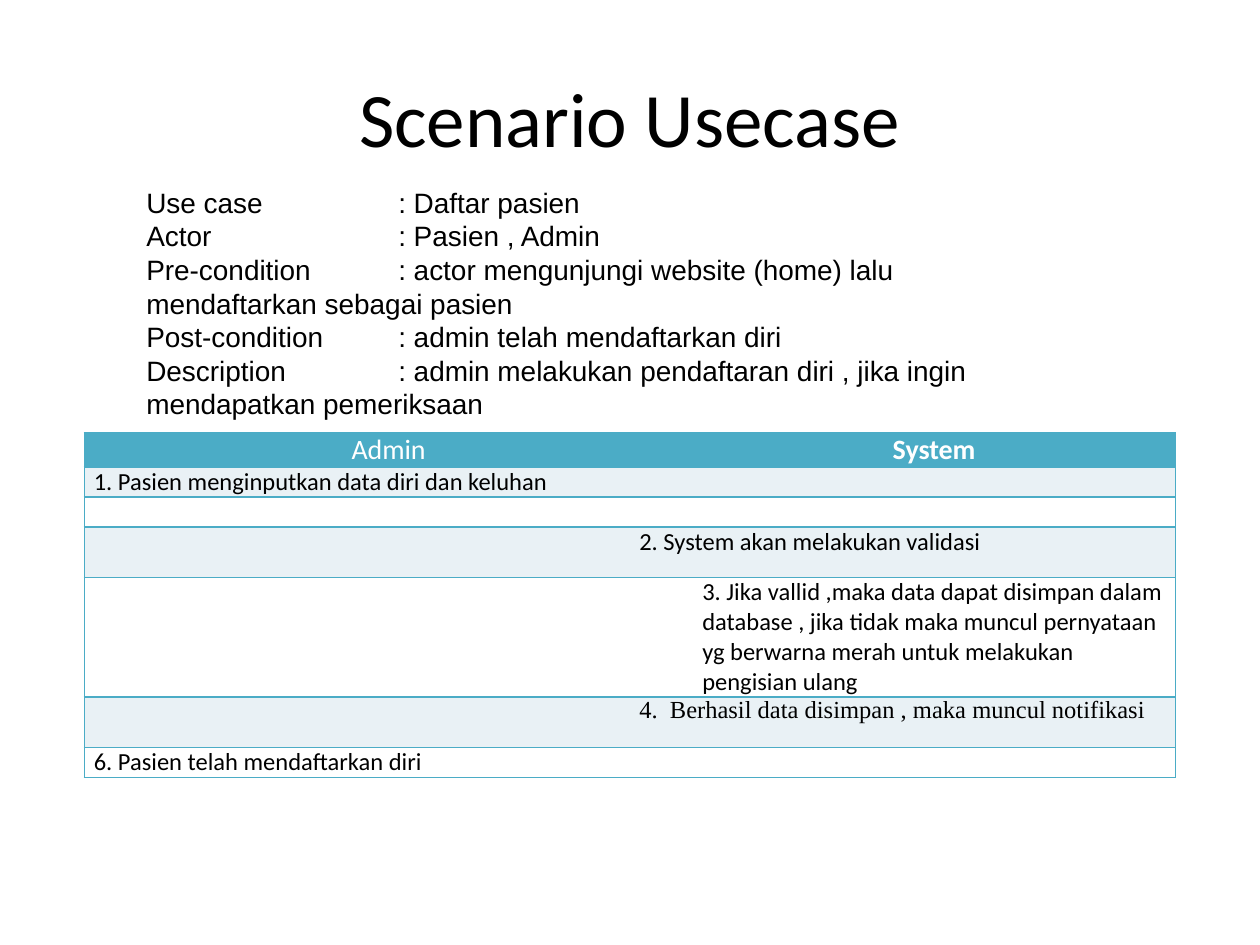
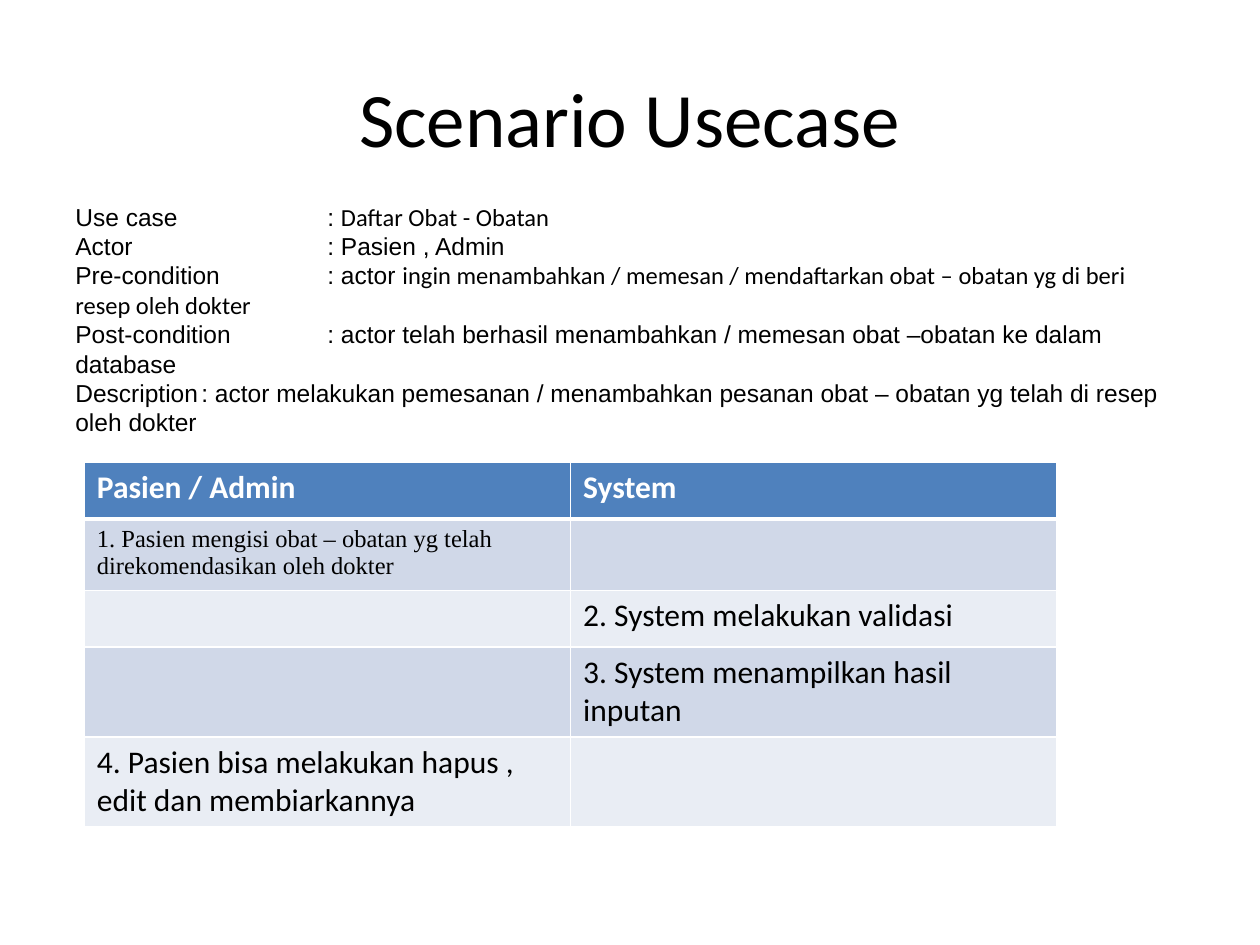
from dataclasses import dataclass
from typing import NamedTuple, Optional

from lxml import etree
from pptx import Presentation
from pptx import util as u
from pptx.dml.color import RGBColor
from pptx.enum import text
from pptx.oxml import ns

Pt = u.Pt


# Theme
@dataclass(frozen=True)
class Theme:
    sans: str = "Calibri"
    plain: str = "Arial"
    serif: str = "Times New Roman"
    ink: str = "000000"
    white: str = "FFFFFF"
    teal: str = "4BACC6"
    teal_tint: str = "E9F1F5"
    blue: str = "4F81BD"
    blue_band: str = "D0D8E8"
    blue_tint: str = "E9EDF4"
    title_size: float = 44
    large: float = 18
    medium: float = 16
    small: float = 14


THEME = Theme()


class Box(NamedTuple):
    left: float
    top: float
    width: float
    height: float


class Step(NamedTuple):
    """One table cell; indent is its left margin in points."""
    words: str = ""
    size: float = THEME.small
    face: str = THEME.sans
    bold: bool = False
    indent: float = 0
    centred: bool = False


@dataclass(frozen=True)
class Field:
    """One line of the summary; detail may use a face of its own."""
    label: str
    detail: str
    detail_face: str = THEME.plain
    tab_stop: float = 144


@dataclass(frozen=True)
class TableLook:
    header: str
    bands: tuple[str, str]
    rule: str
    header_rule: float
    inner_rule: bool
    insets: tuple[float, float]


@dataclass(frozen=True)
class Scenario:
    summary_box: Box
    summary_size: float
    summary_anchor: text.MSO_ANCHOR
    summary: list[Field]
    steps_box: Box
    row_heights: list[float]
    steps: list[tuple[Step, Step]]
    look: TableLook


TITLE = "Scenario Usecase"
TITLE_BOX = Box(36, 21.6, 648, 90)
NOTHING = Step()

TEAL_LOOK = TableLook(THEME.teal, (THEME.teal_tint, THEME.white), THEME.teal,
                      1, False, (5.4, 0))
BLUE_LOOK = TableLook(THEME.blue, (THEME.blue_band, THEME.blue_tint), THEME.white,
                      3, True, (7.2, 3.6))

# Content
SCENARIOS = [
    Scenario(
        Box(76.5, 101.4, 538.6, 143.3), THEME.medium, text.MSO_ANCHOR.MIDDLE,
        [
            Field("Use case\t: ", "Daftar pasien"),
            Field("Actor\t: ", "Pasien , Admin"),
            Field("Pre-condition\t: ",
                  "actor mengunjungi website (home) lalu mendaftarkan sebagai pasien"),
            Field("Post-condition\t: ", "admin telah mendaftarkan diri"),
            Field("Description\t: ",
                  "admin melakukan pendaftaran diri , jika ingin mendapatkan pemeriksaan"),
        ],
        Box(48.2, 247.4, 623.5, 196.9), [19.6, 17.1, 17.1, 28.8, 68.4, 28.8, 17.1],
        [
            (Step("Admin", THEME.medium, indent=36, centred=True),
             Step("System", THEME.medium, bold=True, indent=36, centred=True)),
            (Step("1. Pasien menginputkan data diri dan keluhan"), NOTHING),
            (NOTHING, NOTHING),
            (NOTHING, Step("2. System akan melakukan validasi")),
            (NOTHING, Step("3. Jika vallid ,maka data dapat disimpan dalam database , "
                           "jika tidak maka muncul pernyataan yg berwarna merah untuk "
                           "melakukan pengisian ulang", indent=36)),
            (NOTHING, Step("4.  Berhasil data disimpan , maka muncul notifikasi",
                           face=THEME.serif)),
            (Step("6. Pasien telah mendaftarkan diri"), NOTHING),
        ],
        TEAL_LOOK,
    ),
    Scenario(
        Box(36, 111.6, 648, 370.8), THEME.small, text.MSO_ANCHOR.TOP,
        [
            Field("Use case\t: ", "Daftar Obat - Obatan", THEME.sans),
            Field("Actor\t: ", "Pasien , Admin"),
            Field("Pre-condition\t: actor ",
                  "ingin menambahkan / memesan / mendaftarkan obat – obatan yg di beri "
                  "resep oleh dokter", THEME.sans),
            Field("Post-condition\t: ",
                  "actor telah berhasil menambahkan / memesan obat –obatan ke dalam database"),
            Field("Description\t: ",
                  "actor melakukan pemesanan / menambahkan pesanan obat – obatan yg telah "
                  "di resep oleh dokter", tab_stop=72),
        ],
        Box(48.2, 264.2, 555.8, 205.2), [32.4, 37.7, 32.4, 51.3, 51.3],
        [
            (Step("Pasien / Admin", THEME.large, bold=True),
             Step("System", THEME.large, bold=True)),
            (Step("1. Pasien mengisi obat – obatan yg telah direkomendasikan oleh dokter",
                  face=THEME.serif), NOTHING),
            (NOTHING, Step("2. System melakukan validasi", THEME.large)),
            (NOTHING, Step("3. System menampilkan hasil inputan", THEME.large)),
            (Step("4. Pasien bisa melakukan hapus , edit dan membiarkannya", THEME.large),
             NOTHING),
        ],
        BLUE_LOOK,
    ),
]


# Drawing helpers
def points(box: Box) -> list[u.Length]:
    return [Pt(length) for length in box]


def set_font(font, face: str, size: float, colour: str = THEME.ink,
             bold: bool = False) -> None:
    font.name, font.size, font.bold = face, Pt(size), bold
    font.color.rgb = RGBColor.from_string(colour)


def set_tab_stop(paragraph, position: float) -> None:
    stops = etree.Element(ns.qn("a:tabLst"))
    etree.SubElement(stops, ns.qn("a:tab"), pos=str(int(Pt(position))), algn="l")
    paragraph._p.get_or_add_pPr().insert(0, stops)


def add_frame(slide, box: Box, anchor: text.MSO_ANCHOR):
    frame = slide.shapes.add_textbox(*points(box)).text_frame
    frame.word_wrap = True
    frame.vertical_anchor = anchor
    return frame


def set_borders(cell, rules: dict[str, Optional[float]], colour: str) -> None:
    """Rules map each side to a width in points, or None for no line."""
    properties = cell._tc.get_or_add_tcPr()
    for place, side in enumerate("LRTB"):
        line = etree.Element(ns.qn(f"a:ln{side}"))
        width = rules[side]
        if width is None:
            etree.SubElement(line, ns.qn("a:noFill"))
        else:
            line.set("w", str(int(Pt(width))))
            fill = etree.SubElement(line, ns.qn("a:solidFill"))
            etree.SubElement(fill, ns.qn("a:srgbClr"), val=colour)
        properties.insert(place, line)


def fill_cell(cell, step: Step, fill: str, colour: str, look: TableLook) -> None:
    cell.fill.solid()
    cell.fill.fore_color.rgb = RGBColor.from_string(fill)
    side, edge = look.insets
    cell.margin_left = cell.margin_right = Pt(side)
    cell.margin_top = cell.margin_bottom = Pt(edge)
    paragraph = cell.text_frame.paragraphs[0]
    if not step.words:
        paragraph._p.get_or_add_endParaRPr().set("sz", str(int(step.size * 100)))
        return
    paragraph.text = step.words
    set_font(paragraph.font, step.face, step.size, colour, step.bold)
    if step.centred:
        paragraph.alignment = text.PP_ALIGN.CENTER
    if step.indent:
        paragraph._p.get_or_add_pPr().set("marL", str(int(Pt(step.indent))))


# Slide parts
def add_title(slide) -> None:
    paragraph = add_frame(slide, TITLE_BOX, text.MSO_ANCHOR.MIDDLE).paragraphs[0]
    paragraph.text = TITLE
    paragraph.alignment = text.PP_ALIGN.CENTER
    set_font(paragraph.font, THEME.sans, THEME.title_size)


def add_summary(slide, scenario: Scenario) -> None:
    frame = add_frame(slide, scenario.summary_box, scenario.summary_anchor)
    for number, field in enumerate(scenario.summary):
        paragraph = frame.add_paragraph() if number else frame.paragraphs[0]
        set_font(paragraph.font, THEME.plain, scenario.summary_size)
        set_tab_stop(paragraph, field.tab_stop)
        if field.detail_face == THEME.plain:
            paragraph.text = field.label + field.detail
            continue
        for words, face in ((field.label, THEME.plain), (field.detail, field.detail_face)):
            run = paragraph.add_run()
            run.text = words
            run.font.name = face


def add_steps(slide, scenario: Scenario) -> None:
    look = scenario.look
    table = slide.shapes.add_table(
        len(scenario.steps), 2, *points(scenario.steps_box)).table
    table.horz_banding = False
    for column in table.columns:
        column.width = Pt(scenario.steps_box.width / 2)
    inner = 1 if look.inner_rule else None
    for row, (height, pair) in enumerate(zip(scenario.row_heights, scenario.steps)):
        table.rows[row].height = Pt(height)
        is_header = row == 0
        fill = look.header if is_header else look.bands[(row - 1) % 2]
        colour = THEME.white if is_header else THEME.ink
        for column, step in enumerate(pair):
            cell = table.cell(row, column)
            fill_cell(cell, step, fill, colour, look)
            set_borders(cell, {
                "L": inner if column else 1,
                "R": 1 if column else inner,
                "T": 1,
                "B": look.header_rule if is_header else 1,
            }, look.rule)


def main() -> None:
    deck = Presentation()
    deck.slide_width, deck.slide_height = Pt(720), Pt(540)
    for scenario in SCENARIOS:
        slide = deck.slides.add_slide(deck.slide_layouts[6])
        add_title(slide)
        add_summary(slide, scenario)
        add_steps(slide, scenario)
    deck.save("out.pptx")


if __name__ == "__main__":
    main()
